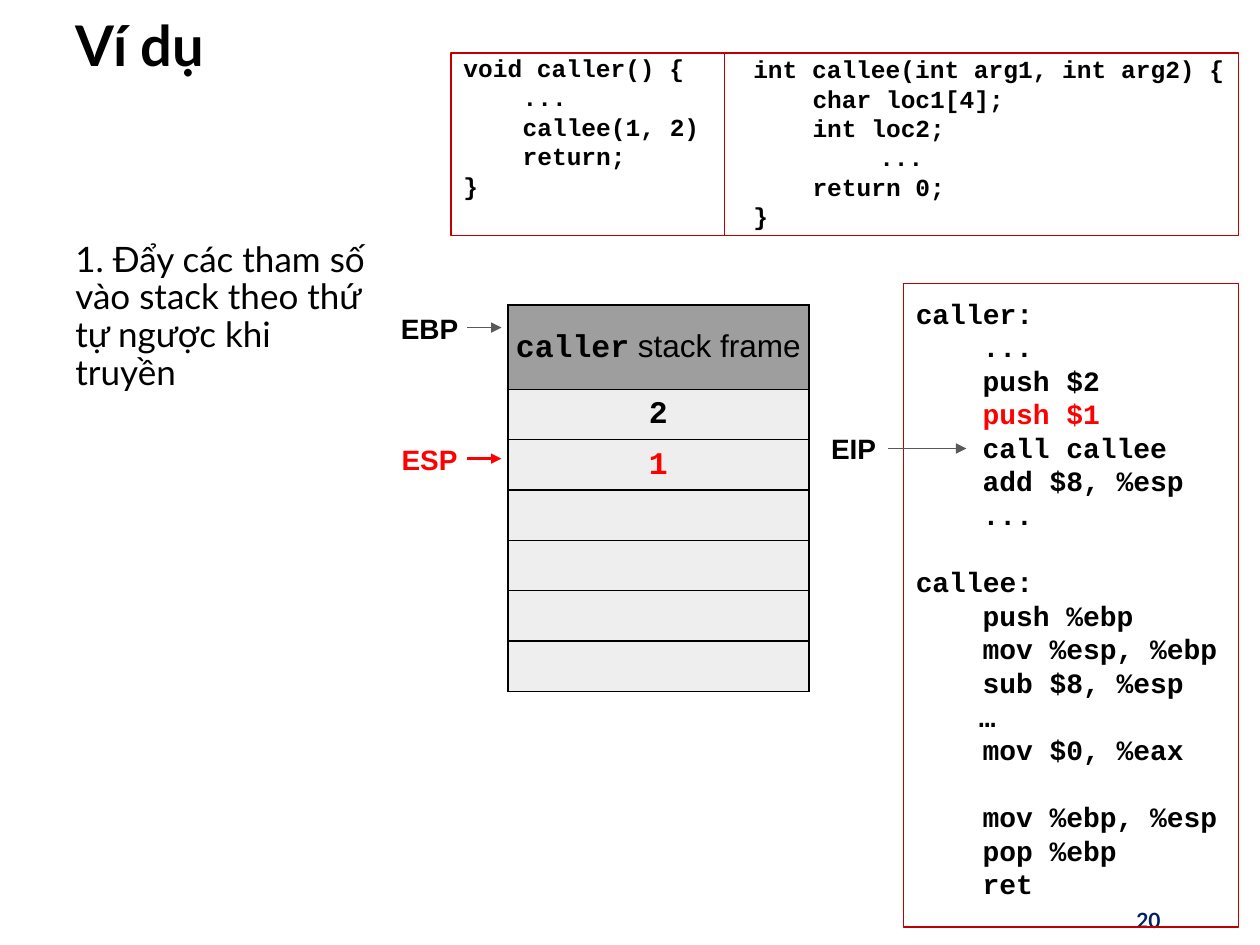
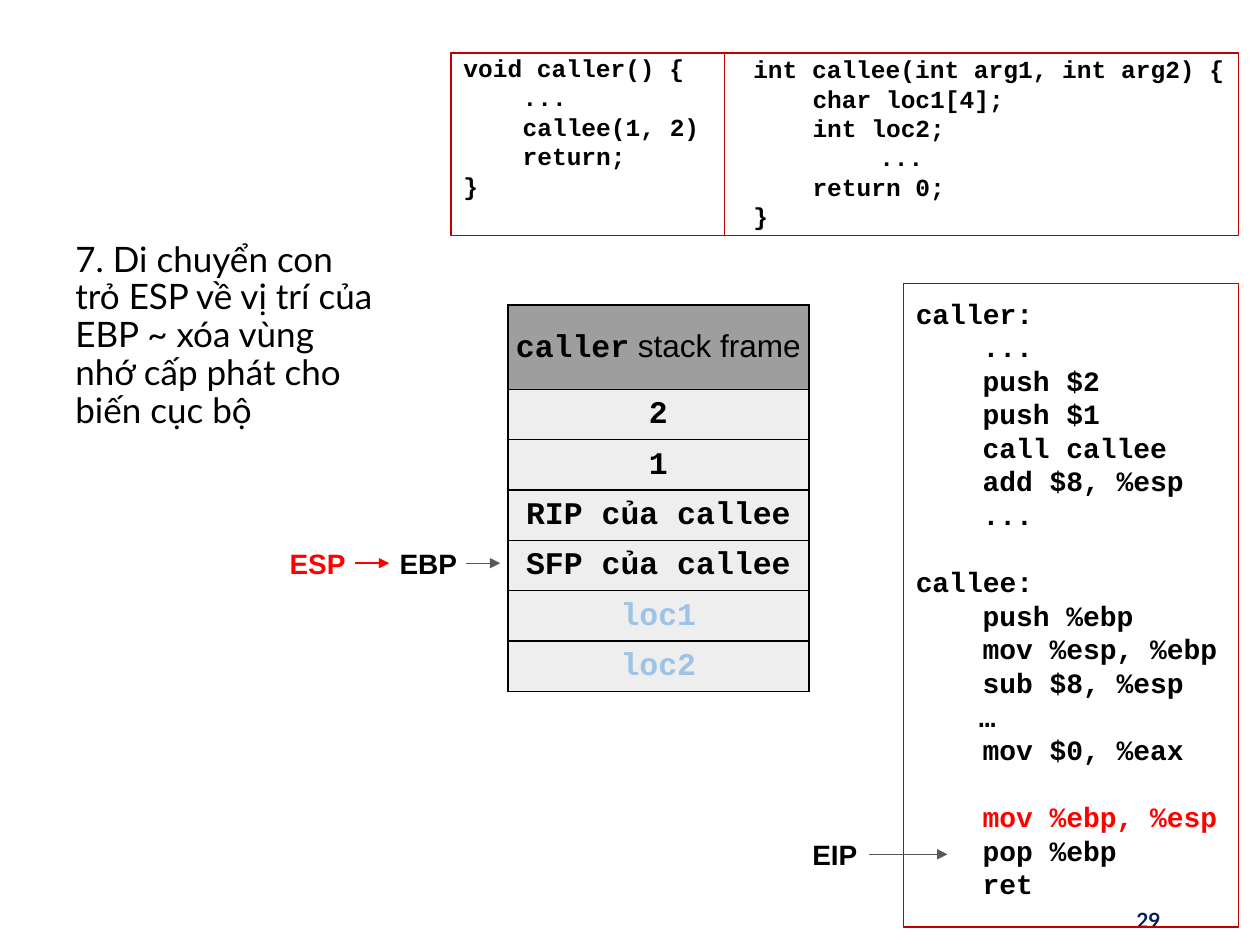
from lxml import etree
from pptx import Presentation
from pptx.dml.color import RGBColor
from pptx.enum.shapes import MSO_CONNECTOR, MSO_SHAPE
from pptx.enum.text import MSO_ANCHOR, MSO_AUTO_SIZE, PP_ALIGN
from pptx.oxml.ns import qn
from pptx.util import Inches, Pt

LEFT, CENTER, RIGHT = PP_ALIGN.LEFT, PP_ALIGN.CENTER, PP_ALIGN.RIGHT
TOP, MIDDLE = MSO_ANCHOR.TOP, MSO_ANCHOR.MIDDLE
RECTANGLE, STRAIGHT = MSO_SHAPE.RECTANGLE, MSO_CONNECTOR.STRAIGHT
NO_AUTOFIT = MSO_AUTO_SIZE.NONE
TITLE_ONLY, BLANK = 5, 6

COLORS = {
    "text": "000000",
    "current": "FF0000",
    "freed": "9DC3E6",
    "frame": "C00000",
    "arrow": "595959",
    "number": "002060",
    "stack_head": "9E9E9E",
    "stack_cell": "EEEEEE",
}
SANS, MONO, BODY = "Arial", "Courier New", "Lato"
MONO_LEADING = 1.2

CALLER_SOURCE = [
    (0, "void caller() {"),
    (0.47, "..."),
    (0.47, "callee(1, 2)"),
    (0.47, "return;"),
    (0, "}"),
]
CALLEE_SOURCE = [
    (0, "int callee(int arg1, int arg2) {"),
    (0.47, "char loc1[4];"),
    (0.47, "int loc2;"),
    (1, "..."),
    (0.47, "return 0;"),
    (0, "}"),
]
CALLER_ASSEMBLY = [(0, "caller:")] + [
    (0.53, line)
    for line in ("...", "push $2", "push $1", "call callee", "add $8, %esp", "...")
]
CALLEE_ASSEMBLY = [
    (0, "callee:"),
    (0.53, "push %ebp"),
    (0.53, "mov %esp, %ebp"),
    (0.53, "sub $8, %esp"),
    (0.5, "…"),
    (0.53, "mov $0, %eax"),
    (0.53, "mov %ebp, %esp"),
    (0.53, "pop %ebp"),
    (0.53, "ret"),
]
ASSEMBLY = CALLER_ASSEMBLY + CALLEE_ASSEMBLY
ASSEMBLY_GAPS = ("callee:", "mov %ebp, %esp")
STACK_ROWS = 6


def rgb(name):
    """Return the named colour."""
    return RGBColor.from_string(COLORS[name])


def style(run, font, size, color="text", bold=True):
    """Format one run."""
    run.font.name = font
    run.font.size = Pt(size)
    run.font.bold = bold
    run.font.color.rgb = rgb(color)


def prepare(frame, inset=None, anchor=TOP):
    """Set wrapping, anchor and insets of a text frame."""
    frame.word_wrap = True
    frame.auto_size = NO_AUTOFIT
    frame.vertical_anchor = anchor
    if inset is not None:
        frame.margin_left = frame.margin_right = Inches(inset)
        frame.margin_top = frame.margin_bottom = Inches(inset)


def add_text(slide, box, text, font, size, color="text", bold=True,
             align=LEFT, anchor=TOP, inset=None, spacing=None):
    """Add a text box with one formatted paragraph."""
    frame = slide.shapes.add_textbox(*map(Inches, box)).text_frame
    prepare(frame, inset, anchor)
    paragraph = frame.paragraphs[0]
    paragraph.text = text
    paragraph.alignment = align
    paragraph.line_spacing = spacing
    style(paragraph.runs[0], font, size, color, bold)


def add_line(slide, start, end, color, width, arrow=False):
    """Add a straight line, with an arrowhead at its end if asked."""
    line = slide.shapes.add_connector(STRAIGHT, *map(Inches, start + end))
    line.line.color.rgb = rgb(color)
    line.line.width = Pt(width)
    if arrow:
        etree.SubElement(line.line._get_or_add_ln(), qn("a:tailEnd"), type="triangle")
    etree.SubElement(line._element.spPr, qn("a:effectLst"))


def add_frame(slide, box):
    """Add an unfilled red rectangle."""
    outline = slide.shapes.add_shape(RECTANGLE, *map(Inches, box))
    outline.shadow.inherit = False
    outline.fill.background()
    outline.line.color.rgb = rgb("frame")
    outline.line.width = Pt(1)
    return outline


def write_code(frame, lines, size, gaps=(), current=None):
    """Write indented code lines, one paragraph each."""
    prepare(frame, 0.1)
    leading = Pt(size * MONO_LEADING)
    for number, (indent, line) in enumerate(lines):
        paragraph = frame.add_paragraph() if number else frame.paragraphs[0]
        paragraph.text = line
        paragraph.alignment = LEFT
        paragraph.line_spacing = leading
        paragraph._p.get_or_add_pPr().set("marL", str(Inches(indent)))
        if line in gaps:
            paragraph.space_before = leading
        style(paragraph.runs[0], MONO, size, "current" if line == current else "text")


def add_source(slide, box):
    """Add the two C functions side by side in a divided frame."""
    left, top, width, height = box
    for offset, rise, column, lines in (
        (0, 0.1, 2.5, CALLER_SOURCE),
        (2.3, 0.09, 4.02, CALLEE_SOURCE),
    ):
        place = (left + offset, top - rise, column, height + 0.17)
        code = slide.shapes.add_textbox(*map(Inches, place))
        write_code(code.text_frame, lines, 14)
    add_frame(slide, box)
    divider = left + 2.17
    add_line(slide, (divider, top), (divider, top + height), "frame", 1)


def add_assembly(slide, box, current):
    """Add the framed assembly listing with its current instruction in red."""
    write_code(add_frame(slide, box).text_frame, ASSEMBLY, 16, ASSEMBLY_GAPS, current)


def format_cell(cell, fill):
    """Set the insets, black borders and fill of a stack cell."""
    cell.margin_left = cell.margin_right = cell.margin_top = Inches(0.05)
    cell.margin_bottom = Inches(0.04)
    properties = cell._tc.get_or_add_tcPr()
    for side in ("a:lnL", "a:lnR", "a:lnT", "a:lnB"):
        border = etree.SubElement(properties, qn(side), w=str(Pt(1)))
        solid = etree.SubElement(border, qn("a:solidFill"))
        etree.SubElement(solid, qn("a:srgbClr"), val=COLORS["text"])
    cell.fill.solid()
    cell.fill.fore_color.rgb = rgb(fill)


def add_stack(slide, box, entries):
    """Add the stack: the caller's frame above six equal slots."""
    head_height = 0.67
    table = slide.shapes.add_table(STACK_ROWS + 1, 1, *map(Inches, box)).table
    table.first_row = table.horz_banding = False
    for number, row in enumerate(table.rows):
        slot = (box[3] - head_height) / STACK_ROWS
        row.height = Inches(slot if number else head_height)
        format_cell(row.cells[0], "stack_cell" if number else "stack_head")

    head = table.cell(0, 0)
    head.vertical_anchor = MIDDLE
    paragraph = head.text_frame.paragraphs[0]
    paragraph.alignment = CENTER
    for text, font, bold in (("caller", MONO, True), (" stack frame", SANS, False)):
        run = paragraph.add_run()
        run.text = text
        style(run, font, 18, bold=bold)

    for number, (text, color) in enumerate(entries, 1):
        paragraph = table.cell(number, 0).text_frame.paragraphs[0]
        paragraph.text = text
        paragraph.alignment = CENTER
        paragraph.line_spacing = Pt(18 * MONO_LEADING)
        style(paragraph.runs[0], MONO, 18, color)


def add_pointer(slide, register, left, top):
    """Add a register name with an arrow to its right."""
    width, reach = (0.55, 0.62) if register == "EIP" else (0.6, 0.27)
    is_current = register == "ESP"
    add_text(slide, (left, top, width, 0.37), register, SANS, 16,
             "current" if is_current else "text", align=CENTER, inset=0.05)
    start, level = left + width, top + 0.18
    add_line(slide, (start, level), (start + reach, level),
             "current" if is_current else "arrow", 1.5 if is_current else 0.75, True)


def add_title(slide, box, text):
    """Move and format the title placeholder."""
    title = slide.shapes.title
    title.left, title.top, title.width, title.height = map(Inches, box)
    prepare(title.text_frame, anchor=MIDDLE)
    paragraph = title.text_frame.paragraphs[0]
    paragraph.text = text
    paragraph.alignment = LEFT
    paragraph.line_spacing = 0.9
    style(paragraph.runs[0], BODY, 32)


def add_step_slide(deck, number, step, entries, current, pointers, title=None):
    """Add a slide for one step of the call."""
    slide = deck.slides.add_slide(deck.slide_layouts[TITLE_ONLY if title else BLANK])
    if title:
        add_title(slide, (0.5, 0.08, 8.81, 0.61), title)
    add_text(slide, (0.5, 1.87, 2.56, 5.21), step, BODY, 20, bold=False, spacing=0.9)
    add_text(slide, (7.06, 7.1, 2.25, 0.4), number, BODY, 12, "number",
             align=RIGHT, anchor=MIDDLE)
    add_assembly(slide, (7.17, 2.25, 2.66, 5.11), current)
    add_source(slide, (3.58, 0.42, 6.25, 1.45))
    add_stack(slide, (4.03, 2.42, 2.39, 3.07), entries)
    for register, left, top in pointers:
        add_pointer(slide, register, left, top)


def main():
    """Build and save the deck."""
    deck = Presentation()
    deck.slide_width, deck.slide_height = Inches(10), Inches(7.5)
    add_step_slide(
        deck, "20", "1. Đẩy các tham số vào stack theo thứ tự ngược khi truyền",
        [("2", "text"), ("1", "current")],
        "push $1",
        [("EBP", 3.11, 2.42), ("EIP", 6.5, 3.38), ("ESP", 3.11, 3.46)],
        title="Ví dụ",
    )
    add_step_slide(
        deck, "29",
        "7. Di chuyển con trỏ ESP về vị trí của EBP ~ xóa vùng nhớ cấp phát "
        "cho biến cục bộ",
        [("2", "text"), ("1", "text"), ("RIP của callee", "text"),
         ("SFP của callee", "text"), ("loc1", "freed"), ("loc2", "freed")],
        "mov %ebp, %esp",
        [("EBP", 3.1, 4.29), ("EIP", 6.35, 6.6), ("ESP", 2.22, 4.29)],
    )
    deck.save("out.pptx")


if __name__ == "__main__":
    main()
